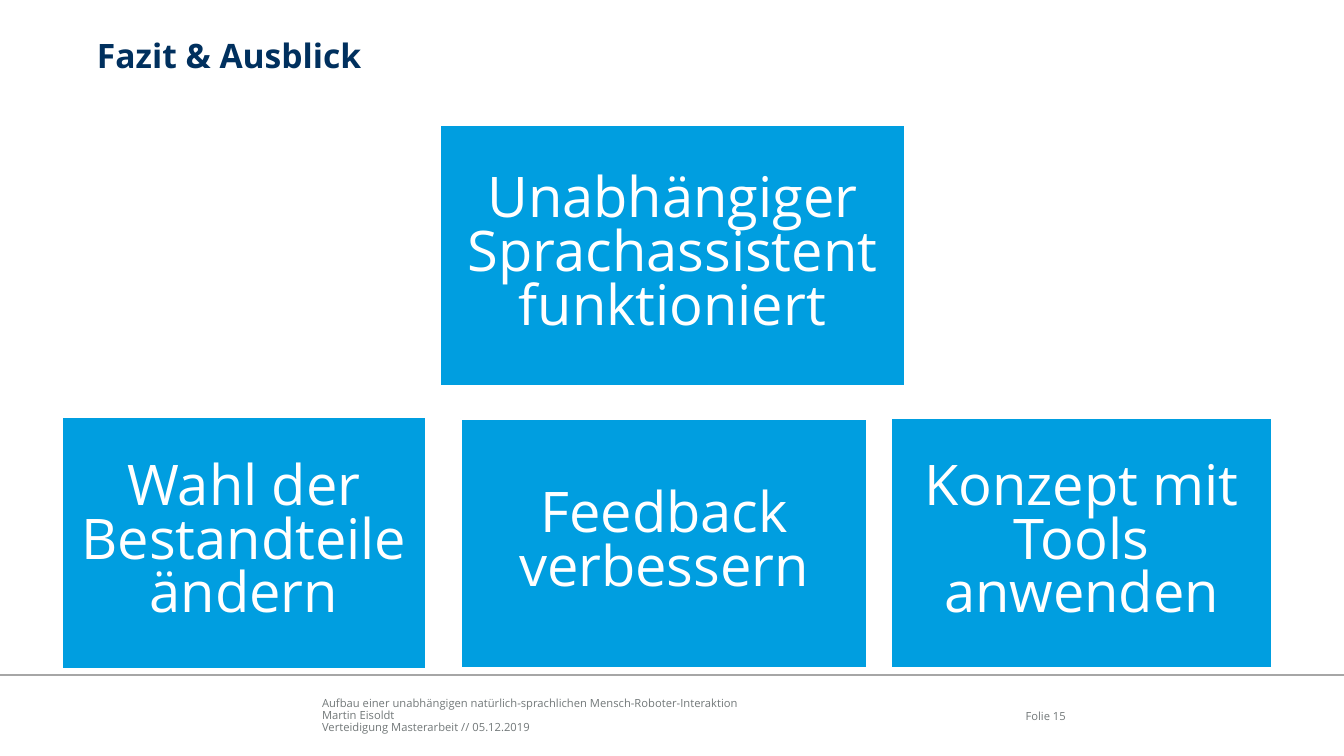
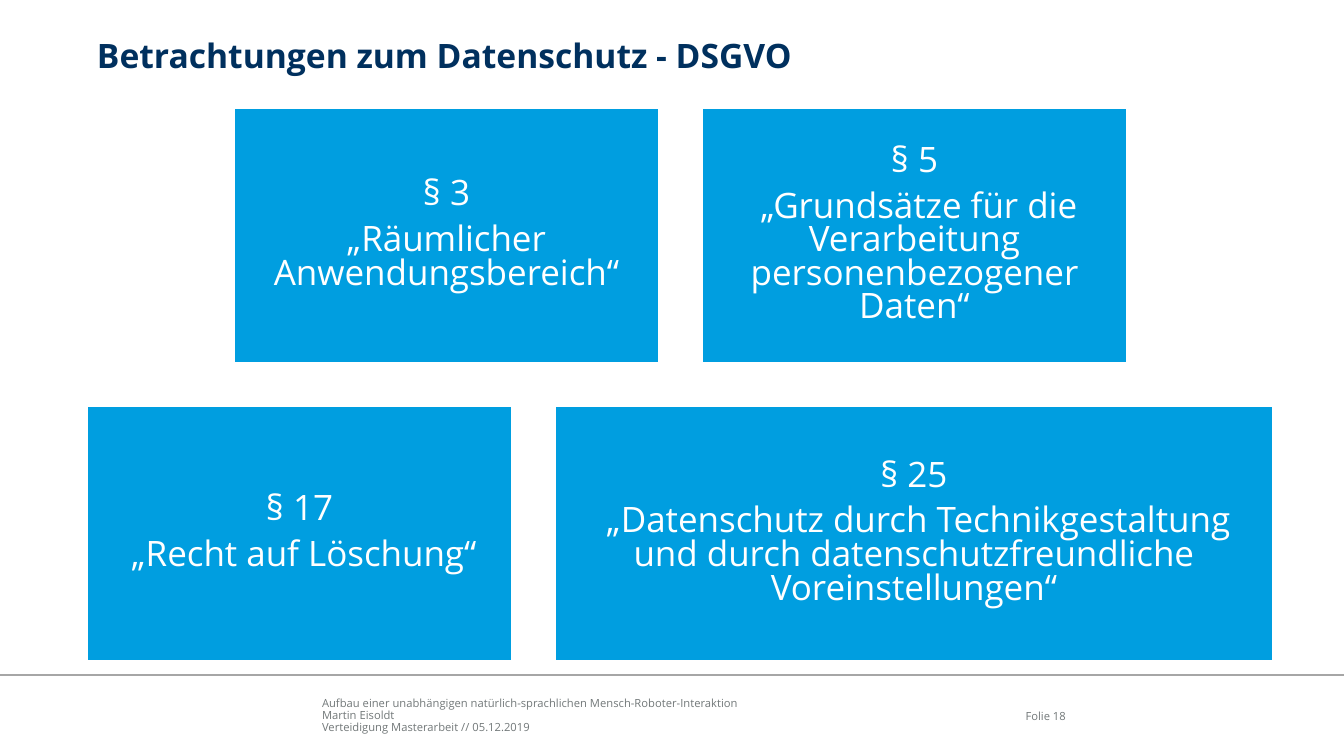
from pptx import Presentation
from pptx.dml.color import RGBColor
from pptx.enum.shapes import MSO_CONNECTOR, MSO_SHAPE
from pptx.enum.text import MSO_ANCHOR, PP_ALIGN
from pptx.oxml.ns import qn
from pptx.util import Emu, Pt
from lxml import etree

RECTANGLE = MSO_SHAPE.RECTANGLE
STRAIGHT = MSO_CONNECTOR.STRAIGHT
TOP, MIDDLE, BOTTOM = MSO_ANCHOR.TOP, MSO_ANCHOR.MIDDLE, MSO_ANCHOR.BOTTOM
LEFT, CENTER, RIGHT = PP_ALIGN.LEFT, PP_ALIGN.CENTER, PP_ALIGN.RIGHT

# Content
FOOTER = [
    "Aufbau einer unabhängigen natürlich-sprachlichen Mensch-Roboter-Interaktion",
    "Martin Eisoldt",
    "Verteidigung Masterarbeit // 05.12.2019",
]
OUTLOOK = {
    "title": "Fazit & Ausblick",
    "number": 15,
    "size": 40,
    "inset": 17,
    "cards": [
        (["Unabhängiger Sprachassistent funktioniert"], (440, 125, 465, 261)),
        (["Wahl der Bestandteile ändern"], (62, 417, 364, 252)),
        (["Feedback verbessern"], (461, 419, 406, 249)),
        (["Konzept mit Tools anwenden"], (891, 418, 381, 250)),
    ],
}
PRIVACY = {
    "title": "Betrachtungen zum Datenschutz - DSGVO",
    "number": 18,
    "size": 25,
    "inset": 10,
}
# Rows of (paragraphs, card width)
PRIVACY_ROWS = [
    [
        (["§ 3", "„Räumlicher Anwendungsbereich“"], 425),
        (["§ 5", " „Grundsätze für die Verarbeitung personenbezogener Daten“"], 425),
    ],
    [
        (["§ 17", " „Recht auf Löschung“"], 425),
        (["§ 25", " „Datenschutz durch Technikgestaltung und durch "
          "datenschutzfreundliche Voreinstellungen“"], 718),
    ],
]

# Shared style
SLIDE_WIDTH, SLIDE_HEIGHT = 1344, 756
PX = 914400 / 100.8
FONT = "Open Sans"
COLORS = {"title": "00305E", "card": "009EE0", "white": "FFFFFF",
          "footer": "727879", "rule": "A6A6A6"}
ROW_CENTER, ROW_TOP, ROW_HEIGHT, GAP = 680, 108, 255, 43
RULE_Y = 675


def px(*lengths):
    return [Emu(round(length * PX)) for length in lengths]


def color(name):
    return RGBColor.from_string(COLORS[name])


def fill_text(shape, lines, size, color_name, align=LEFT, anchor=TOP,
              inset=0, spacing=1.0, after=0, bold=False):
    frame = shape.text_frame
    frame.word_wrap = True
    frame.vertical_anchor = anchor
    margin = px(inset)[0]
    frame.margin_left = frame.margin_right = margin
    frame.margin_top = frame.margin_bottom = margin
    frame.text = "\n".join(lines)
    for paragraph in frame.paragraphs:
        paragraph.alignment = align
        paragraph.line_spacing = spacing
        paragraph.space_after = Pt(after)
        paragraph.font.name = FONT
        paragraph.font.size = Pt(size)
        paragraph.font.bold = bold
        paragraph.font.color.rgb = color(color_name)


def add_text(slide, box, lines, size, color_name, **style):
    fill_text(slide.shapes.add_textbox(*px(*box)), lines, size, color_name, **style)


def add_card(slide, box, lines, size, inset):
    card = slide.shapes.add_shape(RECTANGLE, *px(*box))
    card.shadow.inherit = False
    card.fill.solid()
    card.fill.fore_color.rgb = color("card")
    card.line.color.rgb = color("white")
    card.line.width = Pt(1)
    fill_text(card, lines, size, "white", align=CENTER, anchor=MIDDLE,
              inset=inset, spacing=0.8, after=size * 0.35)


def add_frame(slide, title, number):
    # Footer, rule, slide number and title
    add_text(slide, (322, 693, 572, 41), FOOTER, 8, "footer",
             anchor=BOTTOM, spacing=0.9)
    rule = slide.shapes.add_connector(
        STRAIGHT, *px(0, RULE_Y, SLIDE_WIDTH, RULE_Y))
    rule.line.color.rgb = color("rule")
    rule.line.width = Pt(1)
    etree.SubElement(rule._element.spPr, qn("a:effectLst"))
    add_text(slide, (989, 695, 77, 41), [f"Folie {number}"], 8, "footer",
             align=RIGHT, anchor=MIDDLE)
    add_text(slide, (97, 38, 1166, 76), [title], 24, "title",
             spacing=0.95, bold=True)


def centered_cards(rows):
    cards = []
    for index, row in enumerate(rows):
        total = sum(width for _, width in row) + GAP * (len(row) - 1)
        left = ROW_CENTER - total // 2
        top = ROW_TOP + index * (ROW_HEIGHT + GAP)
        for lines, width in row:
            cards.append((lines, (left, top, width, ROW_HEIGHT)))
            left += width + GAP
    return cards


def main():
    presentation = Presentation()
    presentation.slide_width, presentation.slide_height = px(SLIDE_WIDTH, SLIDE_HEIGHT)
    blank = presentation.slide_layouts[6]
    pages = [OUTLOOK, {**PRIVACY, "cards": centered_cards(PRIVACY_ROWS)}]
    for page in pages:
        slide = presentation.slides.add_slide(blank)
        add_frame(slide, page["title"], page["number"])
        for lines, box in page["cards"]:
            add_card(slide, box, lines, page["size"], page["inset"])
    presentation.save("out.pptx")


if __name__ == "__main__":
    main()
